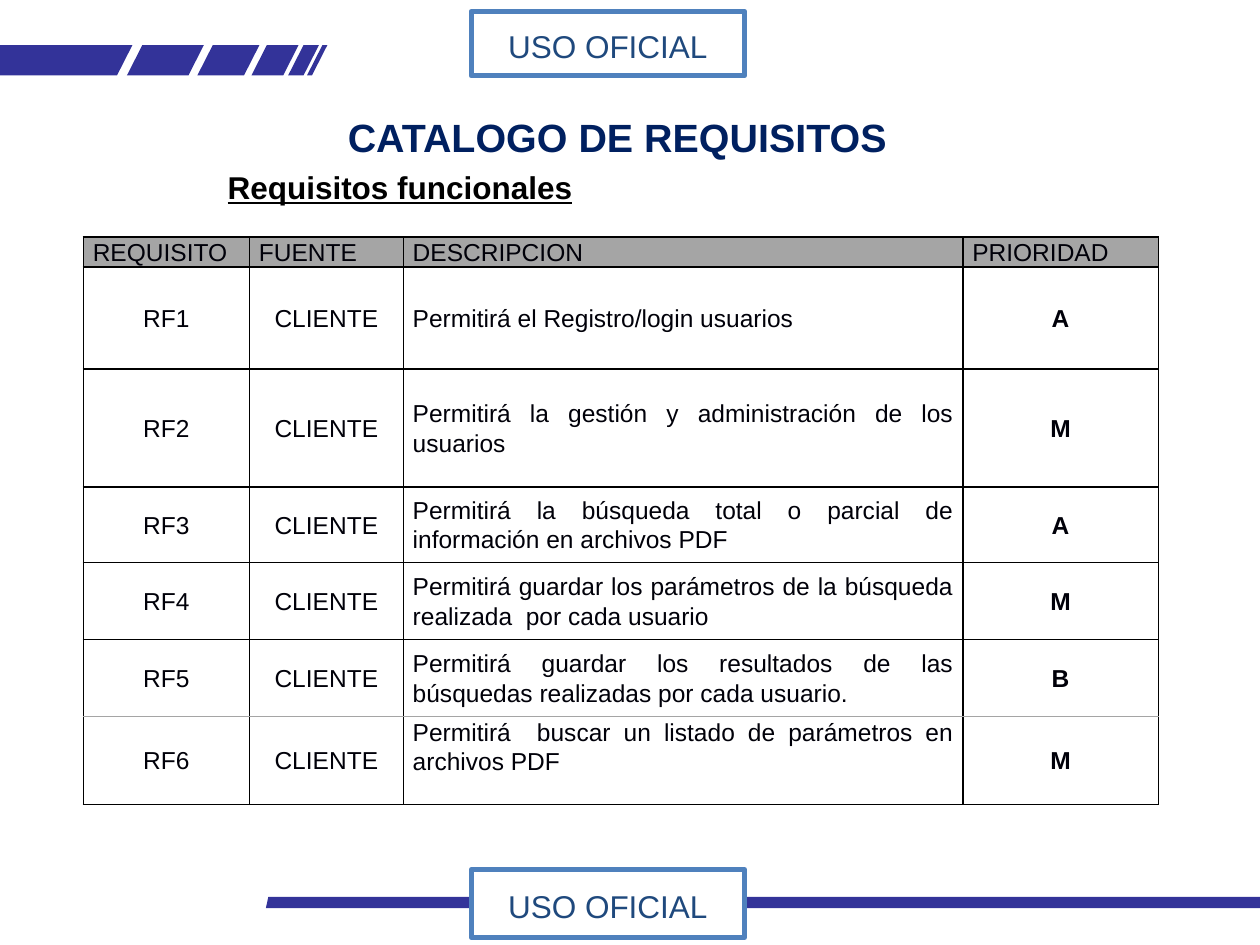
from dataclasses import dataclass
from lxml.etree import SubElement
from pptx import Presentation
from pptx.dml.color import RGBColor
from pptx.enum.shapes import MSO_SHAPE
from pptx.enum.text import MSO_ANCHOR as Anchor, PP_ALIGN as Align
from pptx.oxml.ns import qn
from pptx.util import Cm, Pt


@dataclass(frozen=True)
class Theme:
    font: str = "Arial"
    stripe: str = "333399"
    label_line: str = "4F81BD"
    label_text: str = "1F497D"
    title: str = "002060"
    black: str = "000000"
    white: str = "FFFFFF"
    gray: str = "A5A5A5"
    cell_text: str = "000009"
    title_size: float = 22.5
    heading_size: float = 18
    cell_size: float = 14


class RequirementsSlide:
    """Draws the elements of one slide in a shared style."""

    def __init__(self, slide, theme):
        self.slide = slide
        self.shapes = slide.shapes
        self.theme = theme

    def set_text(self, text_frame, text, size, color, align, margins, anchor, bold=False, underline=False):
        text_frame.text = text
        text_frame.word_wrap = True
        text_frame.vertical_anchor = anchor
        (text_frame.margin_left, text_frame.margin_top,
         text_frame.margin_right, text_frame.margin_bottom) = map(Cm, margins)
        for paragraph in text_frame.paragraphs:
            paragraph.alignment = align
            for run in paragraph.runs:
                font = run.font
                font.name, font.size = self.theme.font, Pt(size)
                font.bold, font.underline = bold, underline
                font.color.rgb = RGBColor.from_string(color)

    def polygon(self, points):
        start, *rest = [(Cm(x), Cm(y)) for x, y in points]
        builder = self.shapes.build_freeform(*start, scale=1.0)
        builder.add_line_segments(rest, close=True)
        shape = builder.convert_to_shape()
        shape.shadow.inherit = False
        shape.fill.solid()
        shape.fill.fore_color.rgb = RGBColor.from_string(self.theme.stripe)
        shape.line.fill.background()

    def stripes(self, spans, top, bottom, slant):
        for left, right in spans:
            self.polygon([(left, top), (right, top), (right - slant, bottom), (max(left - slant, 0), bottom)])

    def label(self, text, top, height):
        theme = self.theme
        shape = self.shapes.add_shape(MSO_SHAPE.RECTANGLE, Cm(9.5), Cm(top), Cm(5.51), Cm(height))
        shape.shadow.inherit = False
        shape.fill.solid()
        shape.fill.fore_color.rgb = RGBColor.from_string(theme.white)
        shape.line.color.rgb = RGBColor.from_string(theme.label_line)
        shape.line.width = Pt(3)
        self.set_text(shape.text_frame, text, theme.heading_size, theme.label_text,
                      Align.CENTER, (0.25, 0.23, 0.25, 0.13), Anchor.MIDDLE)

    def title(self, text, left, top, width, height):
        shape = self.shapes.title
        shape.left, shape.top, shape.width, shape.height = map(Cm, (left, top, width, height))
        self.set_text(shape.text_frame, text, self.theme.title_size, self.theme.title,
                      Align.CENTER, (0.15, 0.08, 0.15, 0.08), Anchor.TOP, bold=True)

    def heading(self, text, left, top, width, height):
        box = self.shapes.add_textbox(*map(Cm, (left, top, width, height)))
        self.set_text(box.text_frame, text, self.theme.heading_size, self.theme.black,
                      Align.LEFT, (0.25, 0.13, 0.25, 0.13), Anchor.TOP, bold=True, underline=True)

    def borders(self, cell, top, bottom):
        properties = cell._tc.get_or_add_tcPr()
        sides = {"L": self.theme.black, "R": self.theme.black, "T": top, "B": bottom}
        for position, (side, color) in enumerate(sides.items()):
            line = SubElement(properties, qn(f"a:ln{side}"), w=str(Pt(1)))
            fill = SubElement(line, qn("a:solidFill"))
            SubElement(fill, qn("a:srgbClr"), val=color)
            properties.insert(position, line)

    def table(self, rows, left, top, widths, heights):
        theme = self.theme
        frame = self.shapes.add_table(len(rows), len(widths), Cm(left), Cm(top),
                                      Cm(sum(widths)), Cm(sum(heights)))
        table = frame.table
        table.first_row = table.horz_banding = False
        for column, width in zip(table.columns, widths):
            column.width = Cm(width)
        last = len(rows) - 1
        for i, (values, height) in enumerate(zip(rows, heights)):
            table.rows[i].height = Cm(height)
            for j, value in enumerate(values):
                cell = table.cell(i, j)
                justified = i == 0 or j == 2
                bottom_margin = 0.55 if (i, j) == (last, 2) else 0
                self.set_text(cell.text_frame, value, theme.cell_size, theme.cell_text,
                              Align.JUSTIFY if justified else Align.CENTER,
                              (0, 0, 0, 0), Anchor.MIDDLE, bold=i > 0 and j == 3)
                cell.margin_left = cell.margin_right = Cm(0.19)
                cell.margin_top, cell.margin_bottom = 0, Cm(bottom_margin)
                cell.vertical_anchor = Anchor.MIDDLE
                cell.text_frame.paragraphs[0].line_spacing = 1.07
                cell.fill.solid()
                cell.fill.fore_color.rgb = RGBColor.from_string(theme.white if i else theme.gray)
                self.borders(cell, theme.gray if i == last else theme.black,
                             theme.gray if i == last - 1 else theme.black)


REQUIREMENTS = [
    ("Permitirá el Registro/login usuarios", "A"),
    ("Permitirá la gestión y administración de los usuarios", "M"),
    ("Permitirá la búsqueda total o parcial de información en archivos PDF", "A"),
    ("Permitirá guardar los parámetros de la búsqueda realizada  por cada usuario", "M"),
    ("Permitirá guardar los resultados de las búsquedas realizadas por cada usuario.", "B"),
    ("Permitirá  buscar un listado de parámetros en archivos PDF", "M"),
]
STRIPES = [(0, 2.67), (2.87, 4.11), (4.29, 5.23), (5.38, 6.02), (6.12, 6.43), (6.5, 6.6)]

presentation = Presentation()
presentation.slide_width, presentation.slide_height = Cm(25.4), Cm(19.05)
page = RequirementsSlide(presentation.slides.add_slide(presentation.slide_layouts[5]), Theme())

page.stripes(STRIPES, top=0.91, bottom=1.52, slant=0.31)
page.polygon([(5.36, 18.31), (25.4, 18.31), (25.4, 18.08), (5.41, 18.08)])
for label_top, label_height in [(17.53, 1.37), (0.23, 1.3)]:
    page.label("USO OFICIAL", label_top, label_height)
page.title("CATALOGO DE REQUISITOS", 5.49, 2.21, 13.92, 1.04)
table_rows = [("REQUISITO", "FUENTE", "DESCRIPCION", "PRIORIDAD")]
table_rows += [(f"RF{number}", "CLIENTE", description, priority)
               for number, (description, priority) in enumerate(REQUIREMENTS, 1)]
page.table(table_rows, 1.68, 4.78, widths=[3.35, 3.1, 11.28, 3.94],
           heights=[0.6, 2.06, 2.38, 1.52, 1.55, 1.55, 1.78])
page.heading("Requisitos funcionales", 4.34, 3.25, 13.11, 1.02)

presentation.save("out.pptx")
